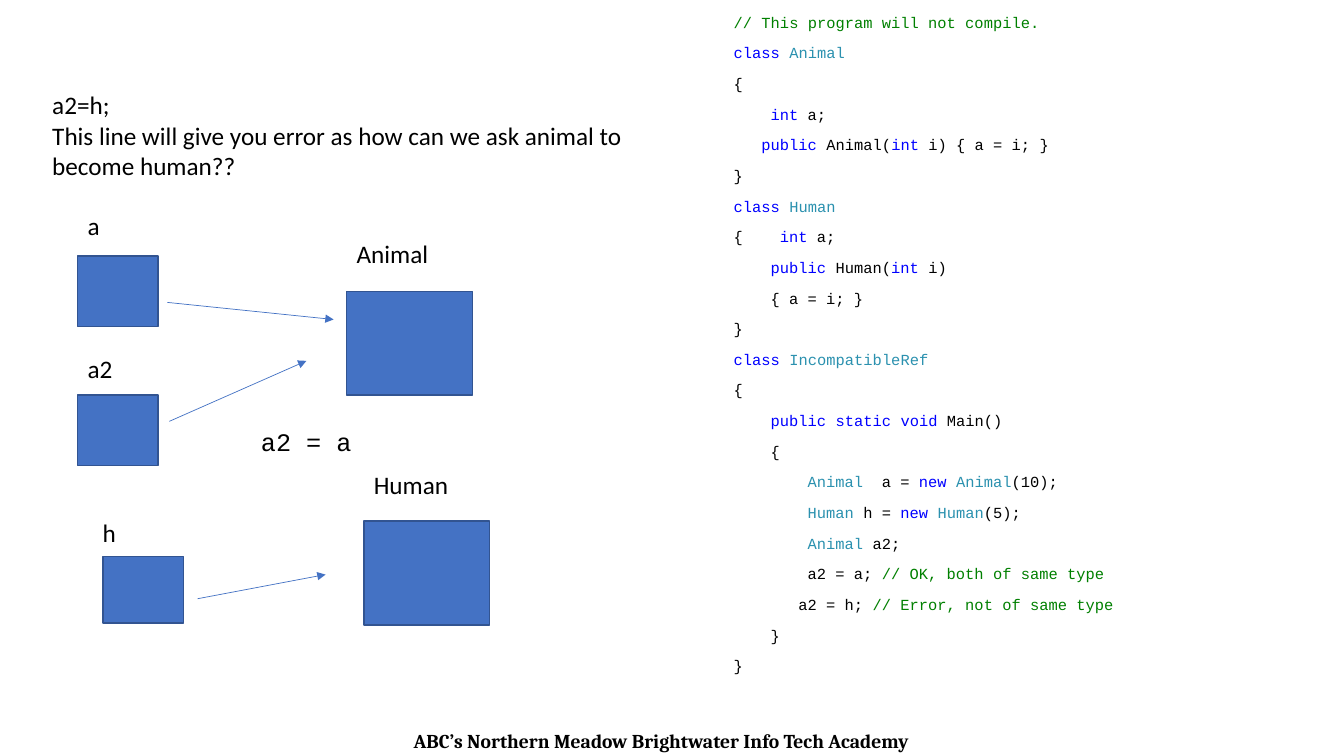
import itertools

import lxml.etree
import pptx
import pptx.dml.color
import pptx.enum.shapes
import pptx.enum.text
import pptx.oxml.ns
import pptx.util

RGB = pptx.dml.color.RGBColor
BLACK = RGB(0x00, 0x00, 0x00)
BLUE = RGB(0x44, 0x72, 0xC4)
OUTLINE = RGB(0x32, 0x54, 0x91)
KEYWORD = RGB(0x00, 0x00, 0xFF)
TYPE = RGB(0x2B, 0x91, 0xAF)
COMMENT = RGB(0x00, 0x80, 0x00)

WIDTH, HEIGHT = pptx.util.Inches(13.33), pptx.util.Inches(7.5)
COLS, ROWS = 160, 90
CODE_SIZE = 11
CHAR = 0.6 * CODE_SIZE  # advance of one monospaced character, in points

LABEL = {"name": "Calibri", "size": pptx.util.Pt(18)}
MONO = {"name": "Courier New", "size": pptx.util.Pt(18)}
CODE = {"name": "Courier New", "size": pptx.util.Pt(CODE_SIZE)}
FOOTER = {"name": "Cambria", "size": pptx.util.Pt(14), "bold": True}

KEYWORDS = {"class", "int", "public", "static", "void", "new"}
TYPES = {"Animal", "Human", "IncompatibleRef"}
PROGRAM = """\
// This program will not compile.
class Animal
{
    int a;
   public Animal(int i) { a = i; }
}
class Human
{\tint a;
    public Human(int i)
    { a = i; }
}
class IncompatibleRef
{
    public static void Main()
    {
        Animal  a = new Animal(10);
        Human h = new Human(5);
        Animal a2;
        a2 = a; // OK, both of same type
       a2 = h; // Error, not of same type
    }
}"""

# Variables and objects: text, label (column, row, width), box (column, row, width, height)
NODES = [
    ("a", (0, 0, 5.9), (0, 6, 9.6, 8.4)),
    ("a2", (0, 17.04, 5.9), (0, 22.56, 9.6, 8.4)),
    ("h", (1.8, 36.48, 9.6), (3, 41.76, 9.6, 7.92)),
    ("Animal", (32.04, 3.36, 15), (32.04, 10.2, 15, 12.36)),
    ("Human", (34.08, 30.84, 15), (34.08, 37.56, 15, 12.36)),
]
REFERENCES = [
    (10.68, 11.52, 30.48, 13.56),
    (10.92, 25.68, 27.24, 18.48),
    (14.28, 46.8, 29.52, 43.92),
]
LABEL_ROWS = 4.8


def grid(x, y, w, h):
    """Turn grid columns and rows into lengths on the slide."""
    return [round(v * size / n) for v, size, n in
            ((x, WIDTH, COLS), (y, HEIGHT, ROWS), (w, WIDTH, COLS), (h, HEIGHT, ROWS))]


def add_run(p, text, font, colour=BLACK):
    """Append a formatted run to a paragraph."""
    r = p.add_run()
    r.text = text
    for name, value in font.items():
        setattr(r.font, name, value)
    r.font.color.rgb = colour


def add_text(slide, box, lines, font, align=None):
    """Add a wrapping text box with one paragraph per line."""
    tf = slide.shapes.add_textbox(*grid(*box)).text_frame
    tf.word_wrap = True
    for i, line in enumerate(lines):
        p = tf.add_paragraph() if i else tf.paragraphs[0]
        p.alignment = align
        add_run(p, line, font)


def add_box(slide, box):
    """Add a blue memory box."""
    sp = slide.shapes.add_shape(pptx.enum.shapes.MSO_SHAPE.RECTANGLE, *grid(*box))
    sp.shadow.inherit = False
    sp.fill.solid()
    sp.fill.fore_color.rgb = BLUE
    sp.line.color.rgb = OUTLINE
    sp.line.width = pptx.util.Pt(1)


def add_arrow(slide, ends):
    """Add a thin arrow between two grid points."""
    line = slide.shapes.add_connector(pptx.enum.shapes.MSO_CONNECTOR.STRAIGHT, *grid(*ends))
    line.line.color.rgb = BLUE
    line.line.width = pptx.util.Pt(0.5)
    qn = pptx.oxml.ns.qn
    lxml.etree.SubElement(line.line._get_or_add_ln(), qn("a:tailEnd"), type="triangle")
    lxml.etree.SubElement(line._element.spPr, qn("a:effectLst"))


def coloured(line):
    """Yield the pieces of a code line with their syntax colours."""
    code, mark, comment = line.partition("//")
    tokens, previous = [], None
    for is_word, chars in itertools.groupby(code, str.isalnum):
        token, colour = "".join(chars), BLACK
        if token in KEYWORDS:
            colour = KEYWORD
        elif token in TYPES and previous != "public":  # constructors stay black
            colour = TYPE
        if is_word:
            previous = token
        tokens.append((token, colour))
    if mark:
        tokens.append((mark + comment, COMMENT))
    for colour, group in itertools.groupby(tokens, lambda token: token[1]):
        yield "".join(text for text, _ in group), colour


def code_listing(slide, box):
    """Set the program as highlighted code, indented by paragraph margins."""
    tf = slide.shapes.add_textbox(*grid(*box)).text_frame
    tf.word_wrap = True
    qn = pptx.oxml.ns.qn
    for i, line in enumerate(PROGRAM.splitlines()):
        p = tf.add_paragraph() if i else tf.paragraphs[0]
        p.line_spacing = 0.9
        p.space_before = pptx.util.Pt(10)
        code = line.lstrip(" ")
        pPr = p._p.get_or_add_pPr()
        pPr.set("marL", str(pptx.util.Pt(CHAR * (len(line) - len(code)))))
        if "\t" in code:
            tabs = lxml.etree.SubElement(pPr, qn("a:tabLst"))
            lxml.etree.SubElement(tabs, qn("a:tab"), pos=str(pptx.util.Pt(5 * CHAR)), algn="l")
        for text, colour in coloured(code):
            add_run(p, text, CODE, colour)


def reference_diagram(slide, box):
    """Draw the variables, the objects and the references between them."""
    left, top = box[:2]
    for text, (x, y, w), (bx, by, bw, bh) in NODES:
        add_text(slide, (left + x, top + y, w, LABEL_ROWS), [text], LABEL)
        add_box(slide, (left + bx, top + by, bw, bh))
    for x1, y1, x2, y2 in REFERENCES:
        add_arrow(slide, (left + x1, top + y1, left + x2, top + y2))
    add_text(slide, (left + 20.64, top + 25.68, 28.44, LABEL_ROWS), ["a2 = a"], MONO)


def explanation(slide, box):
    """State why the last assignment fails."""
    add_text(slide, box, [
        "a2=h;",
        "This line will give you error as how can we ask animal to become human??",
    ], LABEL)


def footer(slide, box):
    """Centre the academy's name at the foot of the slide."""
    add_text(slide, box, ["ABC’s Northern Meadow Brightwater Info Tech Academy "], FOOTER,
             pptx.enum.text.PP_ALIGN.CENTER)


prs = pptx.Presentation()
prs.slide_width, prs.slide_height = WIDTH, HEIGHT
slide = prs.slides.add_slide(prs.slide_layouts[6])
footer(slide, (-1, 86.16, COLS, 4.08))
code_listing(slide, (86.16, 1.2, 62.76, 79.92))
explanation(slide, (5.04, 10.08, 72.48, 15.72))
reference_diagram(slide, (9.24, 24.48, 49.08, 49.92))
prs.save("out.pptx")
